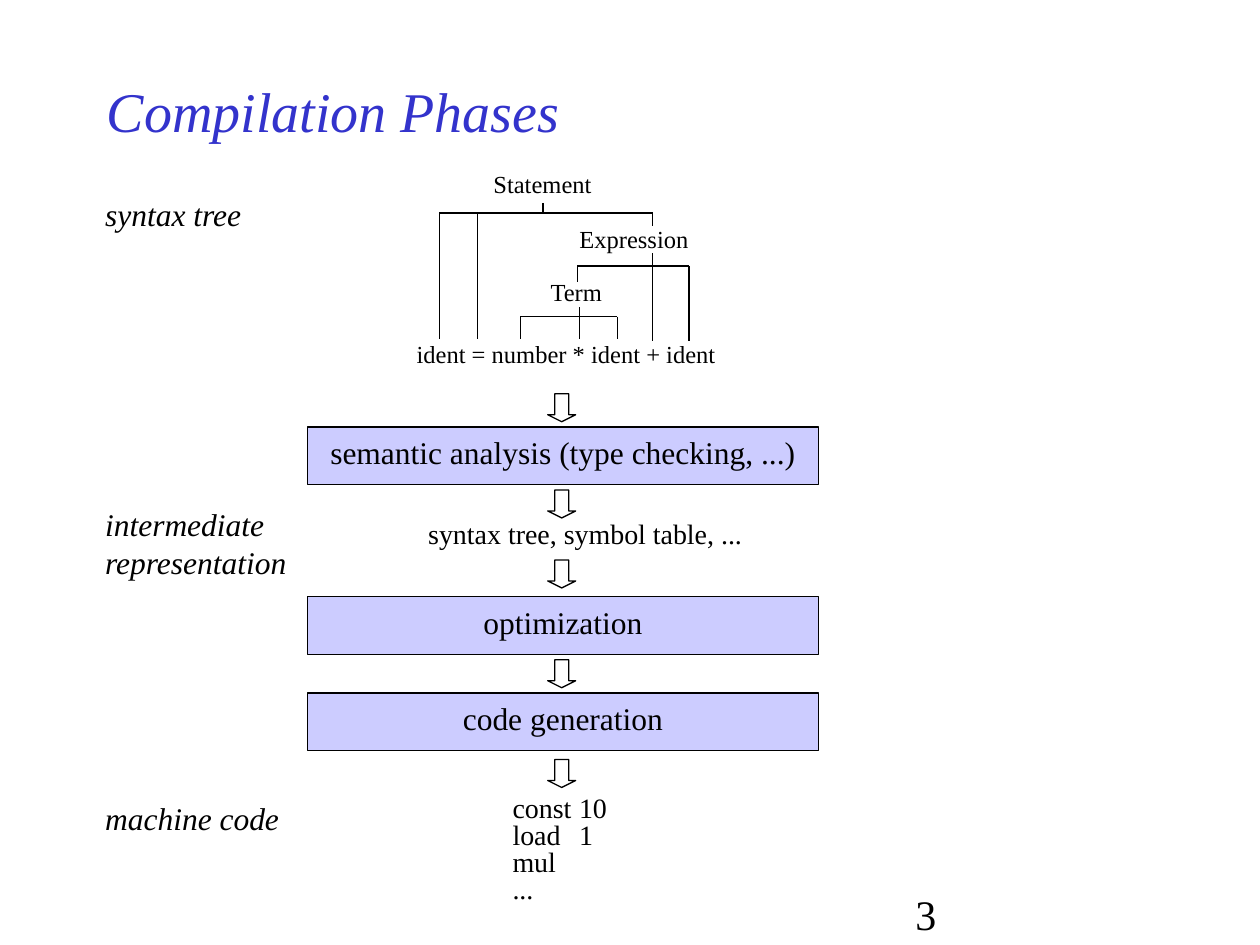
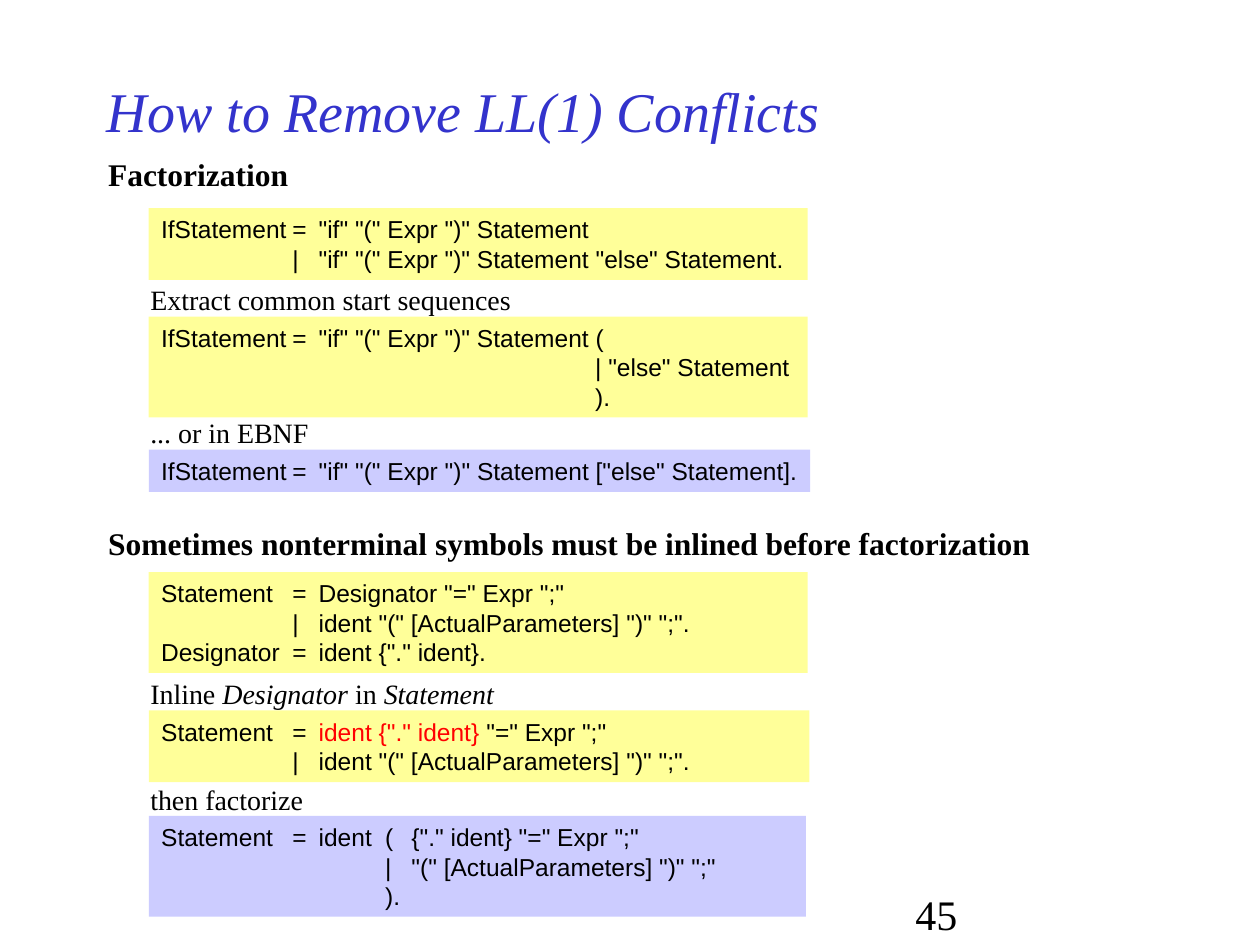
from lxml import etree
from pptx import Presentation
from pptx.dml.color import RGBColor
from pptx.enum.shapes import MSO_CONNECTOR, MSO_SHAPE
from pptx.enum.text import MSO_ANCHOR, PP_ALIGN
from pptx.oxml.ns import qn
from pptx.util import Pt

RECTANGLE = MSO_SHAPE.RECTANGLE
DOWN_ARROW = MSO_SHAPE.DOWN_ARROW
STRAIGHT = MSO_CONNECTOR.STRAIGHT
LEFT, CENTER = PP_ALIGN.LEFT, PP_ALIGN.CENTER
TOP, MIDDLE = MSO_ANCHOR.TOP, MSO_ANCHOR.MIDDLE

BLACK = RGBColor(0x00, 0x00, 0x00)
RED = RGBColor(0xFF, 0x00, 0x00)
TITLE_BLUE = RGBColor(0x33, 0x33, 0xCC)
LAVENDER = RGBColor(0xCC, 0xCC, 0xFF)
YELLOW = RGBColor(0xFF, 0xFF, 0x99)
SERIF, SANS = "Times New Roman", "Arial"


def write(box, text, size, font=SERIF, color=BLACK, bold=False, italic=False,
          align=LEFT, anchor=TOP, tabs=(), spacing=None, accent=None):
    """Fill a box; parts between ^ marks are italic, or in the accent colour."""
    frame = box.text_frame
    frame.word_wrap = True
    frame.vertical_anchor = anchor
    if align == LEFT:
        frame.margin_right = 0
    for index, line in enumerate(text.split("\n")):
        paragraph = frame.add_paragraph() if index else frame.paragraphs[0]
        if tabs:
            properties = paragraph._p.get_or_add_pPr()
            tab_list = etree.SubElement(properties, qn("a:tabLst"))
            for stop in tabs:
                etree.SubElement(tab_list, qn("a:tab"), pos=str(Pt(stop)), algn="l")
        paragraph.alignment = align
        if spacing:
            paragraph.line_spacing = spacing
        for number, part in enumerate(line.split("^")):
            if not part:
                continue
            marked = number % 2 == 1
            span = paragraph.add_run()
            span.text = part
            span.font.name = font
            span.font.size = Pt(size)
            span.font.bold = bold
            span.font.italic = italic or (marked and accent is None)
            span.font.color.rgb = accent if marked and accent else color


def add_block(page, kind, left, top, width, height, fill=None, outlined=False):
    block = page.shapes.add_shape(kind, Pt(left), Pt(top), Pt(width), Pt(height))
    block.shadow.inherit = False
    if fill is None:
        block.fill.background()
    else:
        block.fill.solid()
        block.fill.fore_color.rgb = fill
    if outlined:
        block.line.color.rgb = BLACK
        block.line.width = Pt(0.75)
    else:
        block.line.fill.background()
    return block


deck = Presentation()
deck.slide_width = Pt(720)
deck.slide_height = Pt(540)

pages = []
for title, number in (("Compilation Phases", "3"), ("How to Remove LL(1) Conflicts", "45")):
    page = deck.slides.add_slide(deck.slide_layouts[6])
    box = page.shapes.add_textbox(Pt(54), Pt(36), Pt(540), Pt(54))
    write(box, title, 32, color=TITLE_BLUE, italic=True, anchor=MIDDLE)
    box = page.shapes.add_textbox(Pt(516), Pt(504), Pt(150), Pt(24))
    write(box, number, 24)
    pages.append(page)
phases, conflicts = pages

for text, top, height in (
    ("syntax tree", 108, 29),
    ("intermediate\nrepresentation", 285, 50),
    ("machine code", 453, 29),
):
    box = phases.shapes.add_textbox(Pt(53), Pt(top), Pt(122), Pt(height))
    write(box, text, 18, italic=True)

for text, left, top, width, size in (
    ("Statement", 274.9, 93, 72, 14),
    ("Expression", 324, 124.7, 76, 14),
    ("Term", 307.5, 154.8, 46, 14),
    ("ident = number * ident + ident", 231, 190, 186, 14),
    ("syntax tree, symbol table, ...", 237.6, 291.6, 195, 16),
):
    box = phases.shapes.add_textbox(Pt(left), Pt(top), Pt(width), Pt(26))
    write(box, text, size)

branches = (
    (310.3, 116, 121.8, ((251, 193.7), (273, 193.7), (373, 129))),
    (373, 144.7, 152, ((330, 161.3), (373, 195), (393.8, 195))),
    (331, 175.7, 181, ((297.4, 193.7), (331, 193.7), (352.8, 193.7))),
)
for stem, stem_top, bar, children in branches:
    segments = [(stem, stem_top, stem, bar), (children[0][0], bar, children[-1][0], bar)]
    segments += [(child, bar, child, bottom) for child, bottom in children]
    for segment in segments:
        line = phases.shapes.add_connector(STRAIGHT, *map(Pt, segment))
        line.line.color.rgb = BLACK
        line.line.width = Pt(0.75)
        etree.SubElement(line._element.spPr, qn("a:effectLst"))

for text, top in (
    ("semantic analysis (type checking, ...)", 244),
    ("optimization", 341),
    ("code generation", 396),
):
    block = add_block(phases, RECTANGLE, 175.7, top, 292, 33, LAVENDER, outlined=True)
    write(block, text, 18, align=CENTER)

for top in (225, 280, 320, 377, 434):
    arrow = add_block(phases, DOWN_ARROW, 313, top, 16, 16, outlined=True)
    arrow.adjustments[1] = 0.25

box = phases.shapes.add_textbox(Pt(285.8), Pt(452), Pt(68), Pt(69))
write(box, "const\t10\nload\t1\nmul\n...", 16, tabs=(38,), spacing=0.8)

for text, top in (
    ("Factorization", 85),
    ("Sometimes nonterminal symbols must be inlined before factorization", 296),
):
    box = conflicts.shapes.add_textbox(Pt(54.7), Pt(top), Pt(545), Pt(29))
    write(box, text, 18, bold=True)

for text, top in (
    ("Extract common start sequences", 157.7),
    ("... or in EBNF", 234),
    ("Inline ^Designator^ in ^Statement^", 383),
    ("then factorize", 443.5),
):
    box = conflicts.shapes.add_textbox(Pt(78.8), Pt(top), Pt(220), Pt(27))
    write(box, text, 16)

for text, top, width, height, fill, extra_tabs in (
    ('IfStatement\t=\t"if" "(" Expr ")" Statement\n'
     '\t|\t"if" "(" Expr ")" Statement "else" Statement.', 119, 376.5, 41, YELLOW, ()),
    ('IfStatement\t=\t"if" "(" Expr ")" Statement (\n'
     '\t\t\t| "else" Statement\n\t\t\t).', 181, 376.5, 57.6, YELLOW, (248,)),
    ('IfStatement\t=\t"if" "(" Expr ")" Statement ["else" Statement].',
     257, 378, 24.2, LAVENDER, ()),
    ('Statement\t=\tDesignator "=" Expr ";"\n'
     '\t|\tident "(" [ActualParameters] ")" ";".\n'
     'Designator\t=\tident {"." ident}.', 327, 376.5, 57.6, YELLOW, ()),
    ('Statement\t=\t^ident {"." ident}^ "=" Expr ";"\n'
     '\t|\tident "(" [ActualParameters] ")" ";".', 406, 377.5, 41, YELLOW, ()),
    ('Statement\t=\tident\t(\t{"." ident} "=" Expr ";"\n'
     '\t\t\t|\t"(" [ActualParameters] ")" ";"\n\t\t\t).',
     466.3, 375.5, 57.6, LAVENDER, (128, 143)),
):
    block = add_block(conflicts, RECTANGLE, 85, top, width, height, fill)
    write(block, text, 14, font=SANS, tabs=(75, 90) + extra_tabs, accent=RED)

deck.save("out.pptx")
